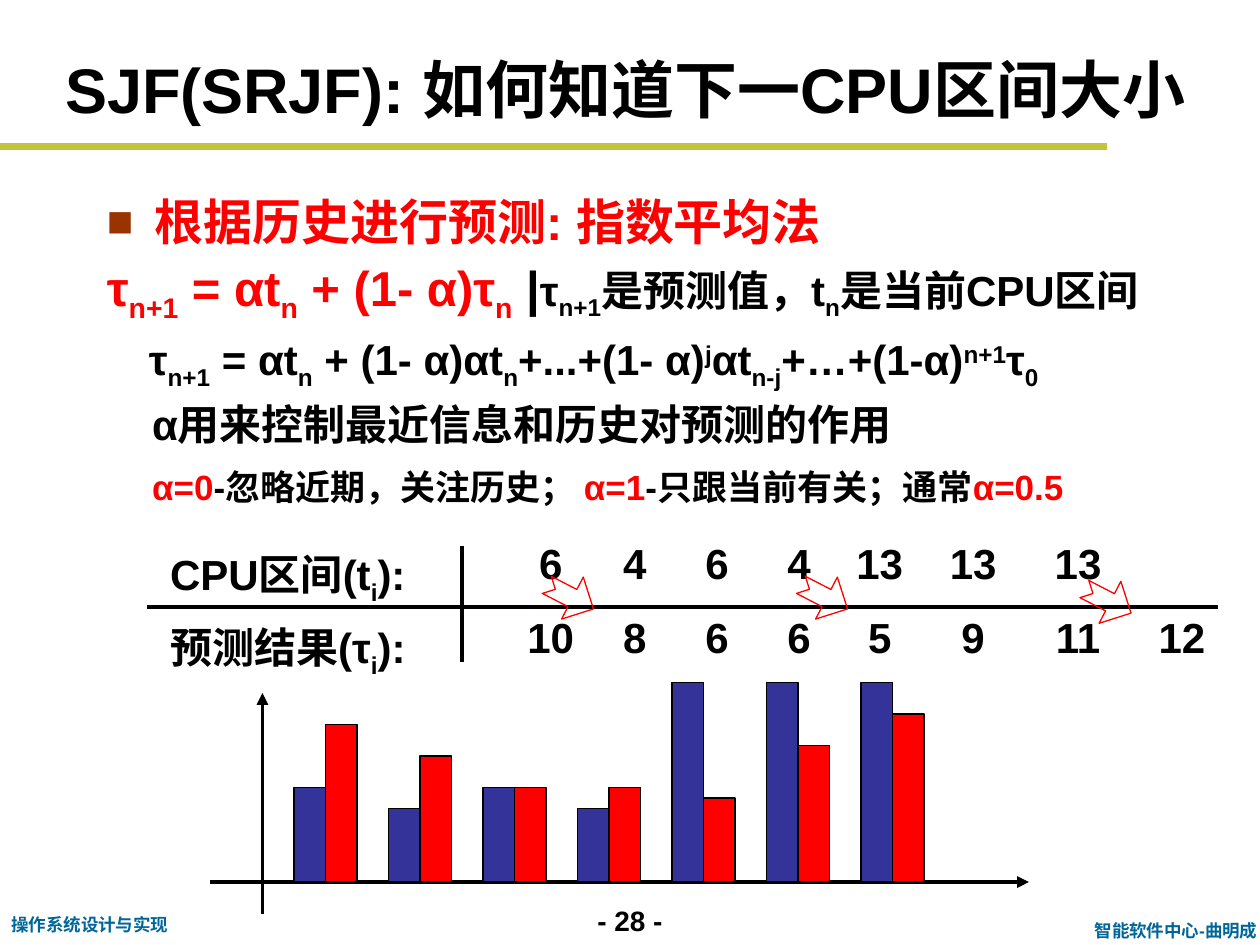
"""Build the slide on predicting the next CPU burst by exponential averaging."""
from lxml.etree import SubElement
from pptx import Presentation
from pptx.dml.color import RGBColor
from pptx.enum.shapes import MSO_CONNECTOR as Connector, MSO_SHAPE as Shape
from pptx.enum.text import MSO_ANCHOR as Anchor, PP_ALIGN as Align
from pptx.oxml.ns import qn
from pptx.util import Inches, Pt

COLORS = {"black": "000000", "red": "FF0000", "blue": "333399", "olive": "C1C43C",
          "teal": "006699", "brown": "993300"}
CELL = 1 / 12


def cells(count):
    return Inches(count * CELL)


def plain(text, size, color="black"):
    return [(text, size, color, 0)]


def formula(parts, size, color="black"):
    shifts = {"_": -25, "^": 30}
    return [(part[1:] if part[0] in shifts else part, size, color, shifts.get(part[0], 0))
            for part in parts]


class SlideBuilder:
    def __init__(self, presentation, font="Arial"):
        self.font = font
        self.slide = presentation.slides.add_slide(presentation.slide_layouts[5])

    def color(self, name):
        return RGBColor.from_string(COLORS[name])

    def fill_paragraph(self, paragraph, runs, align=Align.LEFT, spacing=None, left=0,
                       first=0, bullet=None):
        paragraph.alignment = align
        if spacing:
            paragraph.line_spacing = spacing
        properties = paragraph._p.get_or_add_pPr()
        properties.set("marL", str(Inches(left)))
        properties.set("indent", str(Inches(first)))
        if bullet:
            SubElement(SubElement(properties, qn("a:buClr")), qn("a:srgbClr"),
                       val=COLORS["brown"])
            SubElement(properties, qn("a:buSzPct"), val="90000")
            SubElement(properties, qn("a:buFont"), typeface=self.font)
            SubElement(properties, qn("a:buChar"), char=bullet)
        else:
            SubElement(properties, qn("a:buNone"))
        for text, size, color, shift in runs:
            run = paragraph.add_run()
            run.text = text
            run.font.name, run.font.size, run.font.bold = self.font, Pt(size), True
            run.font.color.rgb = self.color(color)
            if shift:
                run._r.get_or_add_rPr().set("baseline", str(shift * 1000))

    def title(self, box, runs):
        title = self.slide.shapes.title
        title.left, title.top, title.width, title.height = map(cells, box)
        title.text_frame.vertical_anchor = Anchor.MIDDLE
        self.fill_paragraph(title.text_frame.paragraphs[0], runs)

    def text(self, box, *paragraphs, wrap=True, **look):
        frame = self.slide.shapes.add_textbox(*map(cells, box)).text_frame
        frame.word_wrap = wrap
        for index, runs in enumerate(paragraphs):
            paragraph = frame.add_paragraph() if index else frame.paragraphs[0]
            self.fill_paragraph(paragraph, runs, **look)

    def table(self, corner, widths, row_height, rows):
        box = (*corner, sum(widths), row_height * len(rows))
        table = self.slide.shapes.add_table(len(rows), len(widths), *map(cells, box)).table
        table.first_row = table.horz_banding = False
        for column, width in zip(table.columns, widths):
            column.width = cells(width)
        for row, contents in zip(table.rows, rows):
            for index, (cell, runs) in enumerate(zip(row.cells, contents)):
                cell.fill.background()
                cell.margin_left, cell.margin_right = Inches(0 if index else 0.1), 0
                cell.margin_top, cell.margin_bottom = Inches(0.05), 0
                self.fill_paragraph(cell.text_frame.paragraphs[0], runs,
                                    Align.CENTER if index else Align.LEFT)

    def shape(self, kind, box, line, fill=None, rotation=0, adjustments=()):
        shape = self.slide.shapes.add_shape(kind, *map(cells, box))
        shape.shadow.inherit = False
        shape.rotation = rotation
        for index, value in enumerate(adjustments):
            shape.adjustments[index] = value
        if fill:
            shape.fill.solid()
            shape.fill.fore_color.rgb = self.color(fill)
        else:
            shape.fill.background()
        shape.line.color.rgb, shape.line.width = self.color(line), Pt(0.75)

    def line(self, start, end, color="black", width=2.25, arrow=False):
        connector = self.slide.shapes.add_connector(
            Connector.STRAIGHT, *map(cells, start + end))
        connector.line.color.rgb, connector.line.width = self.color(color), Pt(width)
        if arrow:
            SubElement(connector.line._get_or_add_ln(), qn("a:tailEnd"), type="triangle")
        SubElement(connector._element.spPr, qn("a:effectLst"))


def add_frame(builder):
    builder.text((54, 85.5, 12, 4.4), plain("- 28 -", 16), align=Align.CENTER)
    builder.line((0, 14), (105.4, 14), "olive", 4)
    builder.text((102.5, 87, 19, 3.2), plain("智能软件中心-曲明成", 10, "teal"),
                 align=Align.CENTER)
    builder.text((-0.1, 86.5, 17.5, 3.2), plain("操作系统设计与实现", 10, "teal"), wrap=False)
    builder.title((5, 4, 115, 8.9), plain("SJF(SRJF): 如何知道下一CPU区间大小", 36))


def add_explanation(builder):
    hanging = {"spacing": 1.3, "left": 0.38, "first": -0.38}
    indented = {"spacing": 1.4, "left": 0.5}
    builder.text((9, 22, 111, 11.4),
                 formula(["τ", "_n+1", " = αt", "_n", " + (1- α)τ", "_n"], 28, "red")
                 + plain(" |", 28)
                 + formula(["τ", "_n+1", "是预测值，t", "_n", "是当前CPU区间"], 24), **hanging)
    builder.text((9, 16, 104, 11.4), plain("根据历史进行预测: 指数平均法", 28, "red"),
                 bullet="■", **hanging)
    builder.text((7, 29, 108, 8),
                 formula(["τ", "_n+1", " = αt", "_n", " + (1- α)αt", "_n", "+...+(1- α)", "^j",
                          "αt", "_n-j", "+…+(1-α)", "^n+1", "τ", "_0"], 24), **indented)
    builder.text((7.3, 35.4, 112.7, 13.5),
                 plain("α用来控制最近信息和历史对预测的作用", 24),
                 plain("α=0", 20, "red") + plain("-忽略近期，关注历史； ", 20)
                 + plain("α=1", 20, "red") + plain("-只跟当前有关；通常", 20)
                 + plain("α=0.5", 20, "red"), **indented)


def add_bursts(builder):
    widths = (33.4, 8.1, 7.9, 7.8, 7.8, 7.6, 10.2, 9.8, 10)
    bursts = (("CPU区间(t", (6, 4, 6, 4, 13, 13, 13)),
              ("预测结果(τ", (10, 8, 6, 6, 5, 9, 11, 12)))
    rows = [[formula([label, "_i", "):"], 24)] + [plain(str(value), 24) for value in values]
            + [[]] * (len(widths) - 1 - len(values)) for label, values in bursts]
    builder.table((15, 51), widths, 7, rows)
    builder.line((14, 57.8), (116, 57.8))
    builder.line((44, 63), (44, 52))
    for column, row in ((51.8, 54.6), (76, 54.6), (103, 55)):
        builder.shape(Shape.NOTCHED_RIGHT_ARROW, (column, row, 5, 4.5), "red",
                      rotation=27.3, adjustments=(0.41, 0.5))


def add_bars(builder):
    base, bar, pitch = 84, 3, 9
    builder.line((20, base), (98, base), arrow=True)
    builder.line((25, 87), (25, 66), arrow=True)
    series = {"blue": (9, 7, 9, 7, 19, 19, 19), "red": (15, 12, 9, 9, 8, 13, 16)}
    for offset, (color, heights) in enumerate(series.items()):
        for index, height in enumerate(heights):
            column = 28 + index * pitch + offset * bar
            builder.shape(Shape.RECTANGLE, (column, base - height, bar, height),
                          "black", color)


def main():
    presentation = Presentation()
    presentation.slide_width, presentation.slide_height = Inches(10), Inches(7.5)
    builder = SlideBuilder(presentation)
    for add_part in (add_frame, add_explanation, add_bursts, add_bars):
        add_part(builder)
    presentation.save("out.pptx")


if __name__ == "__main__":
    main()
